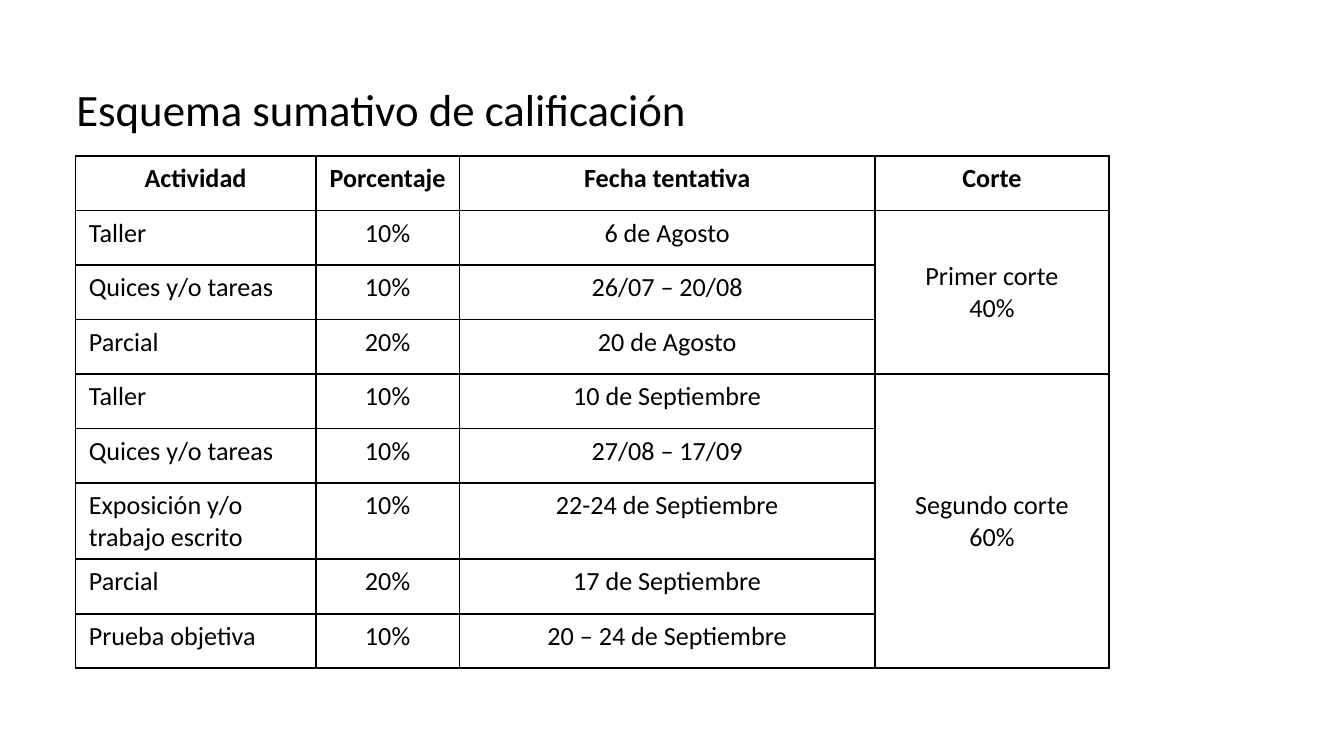
import pptx
import pptx.dml.color
import pptx.enum.text
import pptx.oxml
import pptx.util

Pt = pptx.util.Pt
ALIGN = pptx.enum.text.PP_ALIGN
ANCHOR = pptx.enum.text.MSO_ANCHOR

# Content
TITLE = "Esquema sumativo de calificación"
HEADERS = ["Actividad", "Porcentaje", "Fecha tentativa", "Corte"]
TERMS = [
    (["Primer corte", "40%"], [
        ("Taller", "10%", "6 de Agosto"),
        ("Quices y/o tareas", "10%", "26/07 – 20/08"),
        ("Parcial", "20%", "20 de Agosto"),
    ]),
    (["Segundo corte", "60%"], [
        ("Taller", "10%", "10 de Septiembre"),
        ("Quices y/o tareas", "10%", "27/08 – 17/09"),
        ("Exposición y/o trabajo escrito", "10%", "22-24 de Septiembre"),
        ("Parcial", "20%", "17 de Septiembre"),
        ("Prueba objetiva", "10%", "20 – 24 de Septiembre"),
    ]),
]

# Format
FONT = "Calibri"
BLACK = "000000"
COLUMN_WIDTHS = [128.8, 77, 222.6, 125.4]
ROW_HEIGHT = 29.2
TABLE_LEFT, TABLE_TOP = 40.4, 83.6


def color(value):
    return pptx.dml.color.RGBColor.from_string(value)


def write(frame, *lines, size=14, bold=False, align=ALIGN.LEFT):
    for index, line in enumerate(lines):
        paragraph = frame.add_paragraph() if index else frame.paragraphs[0]
        paragraph.alignment = align
        run = paragraph.add_run()
        run.text = line
        run.font.name = FONT
        run.font.size = Pt(size)
        run.font.bold = bold
        run.font.color.rgb = color(BLACK)


def style_cell(cell):
    cell.fill.background()
    properties = cell._tc.get_or_add_tcPr()
    for index, side in enumerate(("lnL", "lnR", "lnT", "lnB")):
        border = pptx.oxml.parse_xml(
            f'<a:{side} xmlns:a="http://schemas.openxmlformats.org/drawingml/2006/main" '
            f'w="{Pt(1)}"><a:solidFill><a:srgbClr val="{BLACK}"/></a:solidFill></a:{side}>')
        properties.insert(index, border)


presentation = pptx.Presentation()
presentation.slide_width, presentation.slide_height = Pt(720), Pt(405)
slide = presentation.slides.add_slide(presentation.slide_layouts[6])

# Title
title = slide.shapes.add_textbox(Pt(33.8), Pt(40.3), Pt(363.6), Pt(36))
title.text_frame.word_wrap = True
write(title.text_frame, TITLE, size=24)

# Table grid
row_count = 1 + sum(len(activities) for _, activities in TERMS)
table = slide.shapes.add_table(
    row_count, len(HEADERS), Pt(TABLE_LEFT), Pt(TABLE_TOP),
    Pt(sum(COLUMN_WIDTHS)), Pt(row_count * ROW_HEIGHT)).table
table.first_row = table.horz_banding = False
for column, width in zip(table.columns, COLUMN_WIDTHS):
    column.width = Pt(width)
for row in table.rows:
    row.height = Pt(ROW_HEIGHT)
for cell in table.iter_cells():
    style_cell(cell)

# Header row
for column_index, header in enumerate(HEADERS):
    write(table.cell(0, column_index).text_frame, header, bold=True, align=ALIGN.CENTER)

# Activities, with one merged cell for each term
term_column = len(HEADERS) - 1
row_index = 1
for term, activities in TERMS:
    term_cell = table.cell(row_index, term_column)
    term_cell.merge(table.cell(row_index + len(activities) - 1, term_column))
    term_cell.vertical_anchor = ANCHOR.MIDDLE
    write(term_cell.text_frame, *term, align=ALIGN.CENTER)
    for activity in activities:
        for column_index, text in enumerate(activity):
            write(table.cell(row_index, column_index).text_frame, text,
                  align=ALIGN.CENTER if column_index else ALIGN.LEFT)
        row_index += 1

presentation.save("out.pptx")
